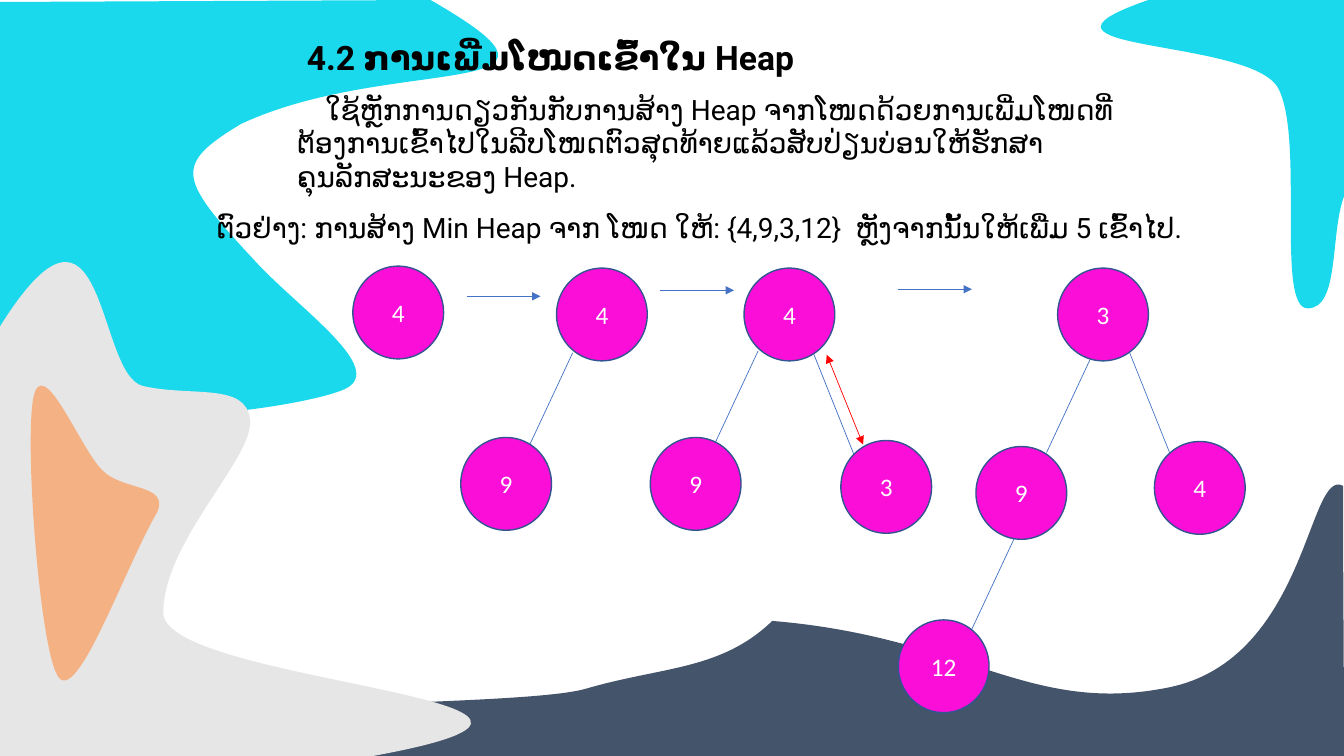
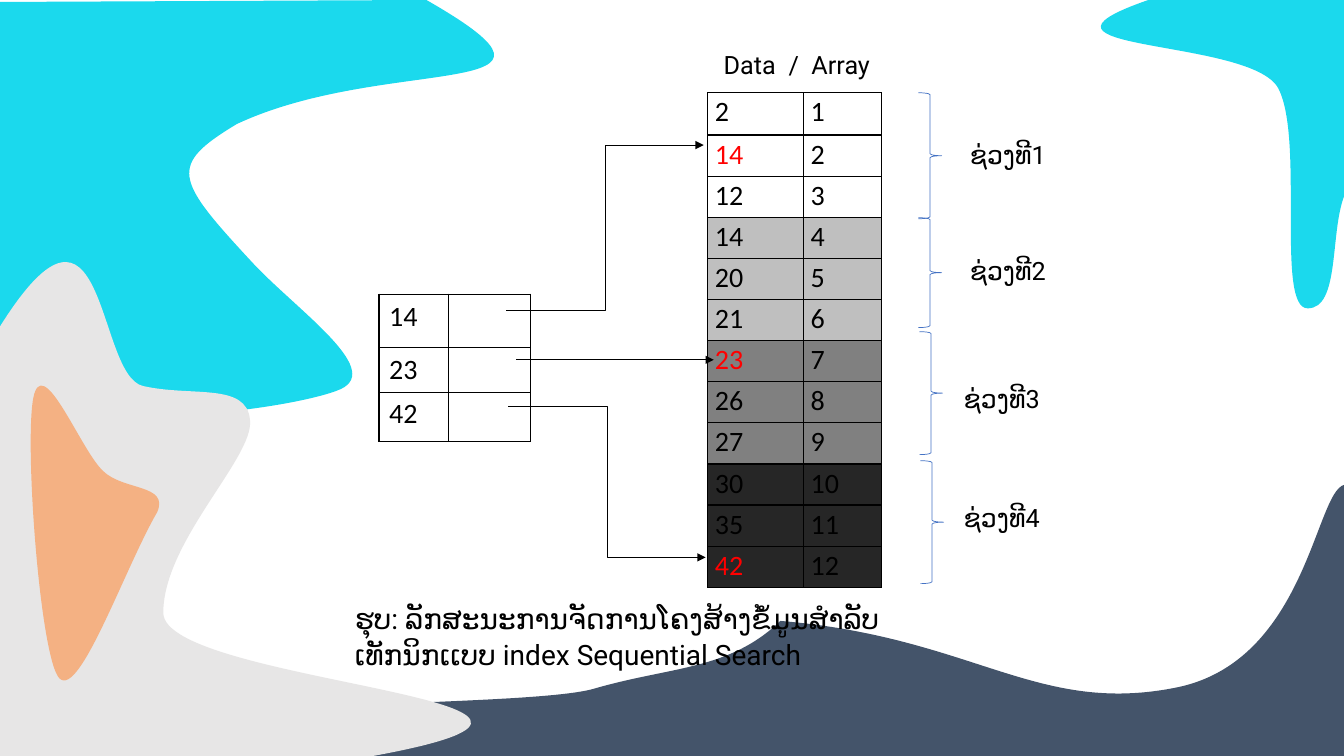
"""Build two slides on adding heap nodes and index sequential search."""
import dataclasses
import typing

import pptx
import pptx.dml.color
import pptx.enum.shapes
import pptx.enum.text
import pptx.oxml
import pptx.oxml.ns
import pptx.shapes.autoshape
import pptx.slide
import pptx.table
import pptx.text.text
import pptx.util

Inches = pptx.util.Inches
Slide = pptx.slide.Slide
Point = tuple[float, float]
SHAPE = pptx.enum.shapes.MSO_SHAPE
CONNECTOR = pptx.enum.shapes.MSO_CONNECTOR
ALIGN = pptx.enum.text.PP_ALIGN
ANCHOR = pptx.enum.text.MSO_ANCHOR
NAMESPACE = pptx.oxml.ns.nsdecls("a")

BLACK, WHITE, RED, BLUE = "000000", "FFFFFF", "FF0000", "4472C4"
MAGENTA, OUTLINE = "FA0ED8", "325491"
SLATE, CYAN, GRAY, ORANGE = "44546A", "1BD9ED", "E7E6E6", "F4B183"
HEADING_FONT, BODY_FONT = "Roboto", "Calibri"
NODE_WIDTH, NODE_HEIGHT = 0.9, 0.92
WIDE_GAP = "|"


@dataclasses.dataclass(frozen=True)
class Blob:
    color: str
    bounds: tuple[float, float, float, float]
    start: Point
    segments: tuple[tuple[float, ...], ...]


@dataclasses.dataclass(frozen=True)
class Label:
    text: str
    left: float
    top: float
    width: float
    height: float
    size: int = 18
    bold: bool = False
    align: typing.Any = ALIGN.LEFT
    anchor: typing.Any = ANCHOR.TOP
    indent: float = 0
    line_spacing: float = 1.0
    space_after: int = 0


@dataclasses.dataclass(frozen=True)
class Node:
    value: int
    left: float
    top: float


@dataclasses.dataclass(frozen=True)
class Link:
    start: Point
    end: Point
    color: str = BLUE
    kind: typing.Any = CONNECTOR.STRAIGHT
    ends: tuple[str, ...] = ()


@dataclasses.dataclass(frozen=True)
class Section:
    brace_left: float
    brace_top: float
    brace_height: float
    label_left: float
    label_top: float
    label_width: float


MOUNTAIN = Blob(SLATE, (2.09, 4.8, 11.25, 2.69), (5.82, 6.83), (
    (6.58, 6.61, 7.15, 6.65, 7.66, 6.16), (9.58, 6.32, 10.2, 7.1, 11.59, 6.82),
    (12.97, 6.54, 12.97, 4.63, 13.32, 4.82), (13.32, 5.71, 13.33, 6.6, 13.33, 7.5),
    (3.11, 7.5), (-0.06, 6.89, 5.07, 7.06, 5.82, 6.83)))
LEFT_CLOUD = Blob(CYAN, (0, 0, 4.94, 4.12), (0, 0.02), (
    (4.27, 0), (6.05, 1.02, 3.89, 0.53, 2.39, 1.23), (1.71, 1.64, 1.77, 1.77, 2.53, 2.59),
    (2.96, 3.06, 3.85, 3.66, 3.42, 3.86), (3, 4.05, 0.72, 4.39, 0, 3.77), (0, 0.02)))
LEFT_HILL = Blob(GRAY, (0, 2.6, 4.67, 4.9), (0, 3.24), (
    (1.06, 1.55, 0.95, 3.73, 1.42, 3.83), (1.9, 3.94, 2.45, 3.79, 2.48, 4.17),
    (2.52, 4.54, 1.62, 5.37, 1.62, 6.08), (1.62, 6.79, 6.76, 6.94, 3.7, 7.5), (0, 7.5),
    (0, 3.24)))
RIGHT_CLOUD = Blob(CYAN, (10.92, 0, 2.41, 3.06), (11.39, 0), (
    (13.33, 0), (13.33, 1.95), (13.19, 2.32, 13.29, 3.06, 12.97, 3.06),
    (12.65, 3.06, 12.94, 1.39, 12.68, 0.88), (12.42, 0.37, 9.89, 0.52, 11.39, 0)))
PEBBLE = Blob(ORANGE, (0.31, 3.82, 1.28, 2.92), (0.35, 3.88), (
    (0.47, 3.6, 0.81, 4.47, 1.02, 4.67), (1.22, 4.87, 1.68, 4.8, 1.56, 5.08),
    (1.24, 5.63, 0.79, 6.93, 0.59, 6.73), (0.39, 6.53, 0.22, 4.16, 0.35, 3.88)))

HEAP_LABELS = (
    Label("4.2 ການເພີ່ມໂໜດເຂົ້າໃນ Heap", 2.08, 0.22, 6.76, 0.7, 24, True,
          ALIGN.CENTER, ANCHOR.MIDDLE),
    Label("ໃຊ້ຫຼັກການດຽວກັນກັບການສ້າງ Heap ຈາກໂໜດດ້ວຍການເພີ່ມໂໜດທີ່ຕ້ອງການເຂົ້າໄປໃນລີບໂໜດ"
          "ຕົວສຸດທ້າຍແລ້ວສັບປ່ຽນບ່ອນໃຫ້ຮັກສາຄຸນລັກສະນະຂອງ Heap.",
          2.85, 0.87, 8.86, 1.09, 20, anchor=ANCHOR.MIDDLE, indent=0.28),
    Label("ຕົວຢ່າງ: ການສ້າງ Min Heap ຈາກ ໂໜດ ໃຫ້: {4,9,3,12}|ຫຼັງຈາກນັ້ນໃຫ້ເພີ່ມ 5 ເຂົ້າໄປ.",
          1.24, 1.91, 11.39, 0.7, 20, align=ALIGN.CENTER, anchor=ANCHOR.MIDDLE),
)
NODES = (
    Node(4, 3.5, 2.64), Node(4, 5.52, 2.66), Node(9, 4.57, 4.34),
    Node(4, 7.38, 2.66), Node(9, 6.45, 4.34), Node(3, 8.34, 4.37),
    Node(3, 10.49, 2.66), Node(9, 9.68, 4.43), Node(4, 11.45, 4.38), Node(12, 8.91, 6.15),
)
LEFT_BRANCHES = ((5.68, 3.5), (7.52, 3.48), (10.81, 3.57), (10.07, 5.32))
RIGHT_BRANCHES = ((8.07, 3.51), (11.2, 3.49))
LEFT_STEP, RIGHT_STEP = (-0.43, 0.92), (0.4, 1.0)
STEP_ARROWS = ((4.63, 2.94), (6.55, 2.88), (8.91, 2.87))
STEP_ARROW_LENGTH = 0.73

INDEX_ROWS = (("14", ""), ("23", ""), ("42", ""))
DATA_VALUES = (2, 14, 12, 14, 20, 21, 23, 26, 27, 30, 35, 42)
DATA_HEIGHTS = (0.42,) + (4.49 / 11,) * 11
BAND_FILLS = (WHITE, "BFBFBF", "808080", "262626")
INDEXED_ROWS = (1, 6, 11)
SECTIONS = (
    Section(9.11, 0.92, 1.25, 9.52, 1.33, 1.17),
    Section(9.11, 2.16, 1.09, 9.52, 2.48, 1.17),
    Section(9.12, 3.29, 1.22, 9.46, 3.75, 1.04),
    Section(9.13, 4.57, 1.22, 9.46, 4.93, 1.04),
)
SEARCH_LABELS = (
    Label("Data|/|Array", 7.08, 0.44, 1.9, 0.4),
    Label("ຮຸບ: ລັກສະນະການຈັດການໂຄງສ້າງຂໍ້ມູນສຳລັບເທັກນິກເເບບ index Sequential Search",
          3.42, 5.89, 5.78, 0.82, 20, line_spacing=1.07, space_after=8),
)
INDEX_LINKS = (
    Link((5.02, 3.08), (6.98, 1.44), BLACK, CONNECTOR.ELBOW, ("tailEnd",)),
    Link((5.12, 3.57), (7.08, 3.57), BLACK, ends=("tailEnd",)),
    Link((5.04, 4.03), (7, 5.53), BLACK, CONNECTOR.ELBOW, ("tailEnd",)),
)


def rgb(color: str) -> pptx.dml.color.RGBColor:
    return pptx.dml.color.RGBColor.from_string(color)


def paint(shape: pptx.shapes.autoshape.Shape, fill: str = "", line: str = "",
          width: float = 1) -> None:
    shape.shadow.inherit = False
    if fill:
        shape.fill.solid()
        shape.fill.fore_color.rgb = rgb(fill)
    else:
        shape.fill.background()
    if line:
        shape.line.color.rgb = rgb(line)
        shape.line.width = pptx.util.Pt(width)
    else:
        shape.line.fill.background()


def write(paragraph: pptx.text.text._Paragraph, text: str, color: str, size: int,
          font_name: str, bold: bool = False) -> pptx.text.text._Run:
    run = paragraph.add_run()
    run.text = text
    formats = {"name": font_name, "size": pptx.util.Pt(size), "bold": bold}
    for attribute, value in formats.items():
        setattr(run.font, attribute, value)
    run.font.color.rgb = rgb(color)
    return run


def draw_blob(slide: Slide, blob: Blob, shift: float = 0) -> None:
    left, top, width, height = blob.bounds
    builder = slide.shapes.build_freeform(Inches(left), Inches(top))
    builder.add_line_segments([(Inches(left + width), Inches(top + height))], close=True)
    shape = builder.convert_to_shape(Inches(shift))
    paint(shape, blob.color)
    contour = next(shape._element.iter(pptx.oxml.ns.qn("a:path")))
    for child in list(contour):
        contour.remove(child)
    for index, segment in enumerate((blob.start, *blob.segments)):
        tag = "moveTo" if index == 0 else "lnTo" if len(segment) == 2 else "cubicBezTo"
        points = "".join(f'<a:pt x="{Inches(x - left)}" y="{Inches(y - top)}"/>'
                         for x, y in zip(segment[::2], segment[1::2]))
        contour.append(pptx.oxml.parse_xml(f"<a:{tag} {NAMESPACE}>{points}</a:{tag}>"))
    contour.append(pptx.oxml.parse_xml(f"<a:close {NAMESPACE}/>"))


def draw_background(slide: Slide, mountain_shift: float = 0, cloud_shift: float = 0) -> None:
    draw_blob(slide, MOUNTAIN, mountain_shift)
    draw_blob(slide, LEFT_CLOUD, cloud_shift)
    for blob in (LEFT_HILL, RIGHT_CLOUD, PEBBLE):
        draw_blob(slide, blob)


def draw_label(slide: Slide, label: Label) -> None:
    box = slide.shapes.add_textbox(Inches(label.left), Inches(label.top),
                                   Inches(label.width), Inches(label.height))
    frame = box.text_frame
    frame.word_wrap = True
    frame.vertical_anchor = label.anchor
    paragraph = frame.paragraphs[0]
    paragraph.alignment = label.align
    paragraph.line_spacing = label.line_spacing
    paragraph.space_after = pptx.util.Pt(label.space_after)
    for index, part in enumerate(label.text.split(WIDE_GAP)):
        if index:
            gap = write(paragraph, " ", BLACK, label.size, HEADING_FONT)
            gap.font._element.set("spc", str(label.size * 25))
        write(paragraph, part, BLACK, label.size, HEADING_FONT, label.bold)
    if label.indent:
        paragraph._p.get_or_add_pPr().set("indent", str(Inches(label.indent)))


def draw_node(slide: Slide, node: Node) -> None:
    circle = slide.shapes.add_shape(SHAPE.OVAL, Inches(node.left), Inches(node.top),
                                    Inches(NODE_WIDTH), Inches(NODE_HEIGHT))
    paint(circle, MAGENTA, OUTLINE)
    circle.text_frame.vertical_anchor = ANCHOR.MIDDLE
    paragraph = circle.text_frame.paragraphs[0]
    paragraph.alignment = ALIGN.CENTER
    write(paragraph, str(node.value), WHITE, 18, BODY_FONT)


def draw_link(slide: Slide, link: Link) -> None:
    connector = slide.shapes.add_connector(
        link.kind, *(Inches(value) for value in link.start + link.end))
    connector.line.color.rgb = rgb(link.color)
    connector.line.width = pptx.util.Pt(0.5)
    properties = connector._element.spPr
    outline = properties.find(pptx.oxml.ns.qn("a:ln"))
    for end in link.ends:
        outline.append(pptx.oxml.parse_xml(f'<a:{end} {NAMESPACE} type="triangle"/>'))
    properties.append(pptx.oxml.parse_xml(f"<a:effectLst {NAMESPACE}/>"))


def format_cell(cell: pptx.table._Cell, fill: str) -> None:
    properties = cell._tc.get_or_add_tcPr()
    for side in ("lnL", "lnR", "lnT", "lnB"):
        properties.append(pptx.oxml.parse_xml(
            f'<a:{side} {NAMESPACE} w="12700"><a:solidFill>'
            f'<a:srgbClr val="{BLACK}"/></a:solidFill></a:{side}>'))
    cell.fill.solid()
    cell.fill.fore_color.rgb = rgb(fill)


def draw_table(slide: Slide, left: float, top: float, widths: typing.Sequence[float],
               heights: typing.Sequence[float], rows: typing.Sequence[typing.Sequence[str]],
               fills: typing.Sequence[str], red_rows: tuple[int, ...] = (),
               margins: typing.Optional[dict[str, float]] = None,
               line_spacing: float = 1.0) -> None:
    frame = slide.shapes.add_table(len(rows), len(widths), Inches(left), Inches(top),
                                   Inches(sum(widths)), Inches(sum(heights)))
    table = frame.table
    table.first_row = table.horz_banding = False
    for column, width in zip(table.columns, widths):
        column.width = Inches(width)
    for row_index, values in enumerate(rows):
        table.rows[row_index].height = Inches(heights[row_index])
        for column_index, value in enumerate(values):
            cell = table.cell(row_index, column_index)
            format_cell(cell, fills[row_index])
            for side, margin in (margins or {}).items():
                setattr(cell, f"margin_{side}", Inches(margin))
            if value:
                color = RED if column_index == 0 and row_index in red_rows else BLACK
                paragraph = cell.text_frame.paragraphs[0]
                paragraph.line_spacing = line_spacing
                write(paragraph, value, color, 20, BODY_FONT)


def build_heap_slide(slide: Slide) -> None:
    draw_background(slide)
    for label in HEAP_LABELS:
        draw_label(slide, label)
    for starts, (dx, dy) in ((LEFT_BRANCHES, LEFT_STEP), (RIGHT_BRANCHES, RIGHT_STEP)):
        for x, y in starts:
            draw_link(slide, Link((x, y), (x + dx, y + dy)))
    for x, y in STEP_ARROWS:
        draw_link(slide, Link((x, y), (x + STEP_ARROW_LENGTH, y), ends=("tailEnd",)))
    for node in NODES:
        draw_node(slide, node)
    draw_link(slide, Link((8.2, 3.52), (8.56, 4.41), RED, ends=("headEnd", "tailEnd")))


def build_search_slide(slide: Slide) -> None:
    draw_background(slide, 0.08, -0.04)
    draw_table(slide, 3.76, 2.92, (0.69, 0.81), (0.53, 0.44, 0.49), INDEX_ROWS, (WHITE,) * 3)
    rows = [(str(value), str(number)) for number, value in enumerate(DATA_VALUES, 1)]
    fills = [BAND_FILLS[index // 3] for index in range(len(rows))]
    margins = {"left": 0.07, "top": 0, "right": 0.07, "bottom": 0}
    draw_table(slide, 7.02, 0.92, (0.95, 0.77), DATA_HEIGHTS, rows, fills,
               INDEXED_ROWS, margins, 1.07)
    for link in INDEX_LINKS:
        draw_link(slide, link)
    for label in SEARCH_LABELS:
        draw_label(slide, label)
    for number, section in enumerate(SECTIONS, 1):
        brace = slide.shapes.add_shape(
            SHAPE.RIGHT_BRACE, Inches(section.brace_left), Inches(section.brace_top),
            Inches(0.23), Inches(section.brace_height))
        paint(brace, line=BLUE, width=0.5)
        draw_label(slide, Label(f"ຊ່ວງທີ{number}", section.label_left, section.label_top,
                                section.label_width, 0.4))


def main() -> None:
    presentation = pptx.Presentation()
    presentation.slide_width = Inches(13.33)
    presentation.slide_height = Inches(7.5)
    for build in (build_heap_slide, build_search_slide):
        build(presentation.slides.add_slide(presentation.slide_layouts[6]))
    presentation.save("out.pptx")


if __name__ == "__main__":
    main()
